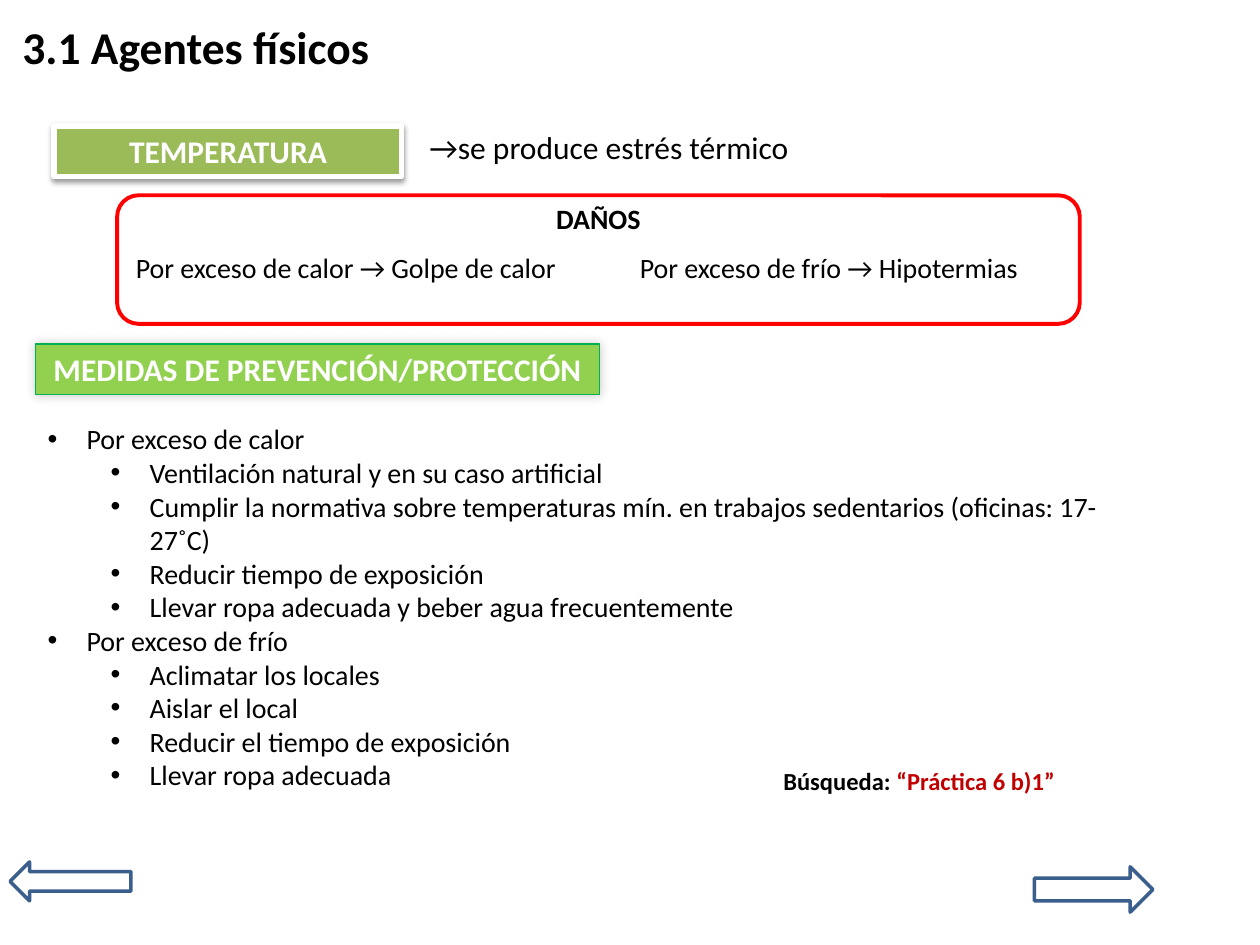
from typing import NamedTuple, Optional

from lxml import etree
from pptx import Presentation, util as u
from pptx.dml.color import RGBColor
from pptx.enum import shapes, text
from pptx.oxml.ns import qn

HUES = {
    "black": "000000", "white": "FFFFFF", "olive": "9BBB59",
    "lime": "92D050", "green": "00B050", "red": "FF0000",
    "dark": "C00000", "blue": "3A5F8C",
}
KIND = shapes.MSO_SHAPE
MID = text.MSO_ANCHOR.MIDDLE
TOP = text.MSO_ANCHOR.TOP
LEFT = text.PP_ALIGN.LEFT
CENTER = text.PP_ALIGN.CENTER


class Shade(NamedTuple):
    alpha: int
    blur: float
    dist: float
    angle: int


class Box(NamedTuple):
    at: tuple
    kind: int
    fill: Optional[str]
    line: str
    width: float
    label: str = ""
    size: int = 18
    ink: str = "white"
    shade: Optional[Shade] = None


class Note(NamedTuple):
    at: tuple
    label: str
    size: int
    bold: bool = False
    align: int = LEFT
    anchor: int = TOP


def hue(name: str) -> RGBColor:
    return RGBColor.from_string(HUES[name])


def style(para, size: int, ink: str = "black", bold: bool = False, align=LEFT) -> None:
    para.alignment = align
    font = para.font
    font.name, font.size, font.bold = "Calibri", u.Pt(size), bold
    font.color.rgb = hue(ink)


def cast(shape, shade: Shade) -> None:
    """Give the shape an outer shadow."""
    fx = shape._element.spPr.find(qn("a:effectLst"))
    outer = etree.SubElement(
        fx, qn("a:outerShdw"), blurRad=str(u.Pt(shade.blur)),
        dist=str(u.Pt(shade.dist)), dir=str(shade.angle * 60000),
        algn="ctr", rotWithShape="0")
    tint = etree.SubElement(outer, qn("a:srgbClr"), val=HUES["black"])
    etree.SubElement(tint, qn("a:alpha"), val=str(shade.alpha * 1000))


def draw_box(slide, box: Box):
    shape = slide.shapes.add_shape(box.kind, *map(u.Inches, box.at))
    shape.shadow.inherit = False
    if box.fill:
        shape.fill.solid()
        shape.fill.fore_color.rgb = hue(box.fill)
    else:
        shape.fill.background()
    shape.line.color.rgb = hue(box.line)
    shape.line.width = u.Pt(box.width)
    if box.shade:
        cast(shape, box.shade)
    frame = shape.text_frame
    if box.label:
        frame.word_wrap = True
        frame.vertical_anchor = TOP
        frame.text = box.label
        style(frame.paragraphs[0], box.size, box.ink, True, CENTER)
    return frame


def draw_note(slide, note: Note):
    frame = slide.shapes.add_textbox(*map(u.Inches, note.at)).text_frame
    frame.word_wrap = True
    frame.vertical_anchor = note.anchor
    para = frame.paragraphs[0]
    para.text = note.label
    style(para, note.size, "black", note.bold, note.align)
    return frame


def draw_list(slide, at: tuple, groups: dict) -> None:
    frame = slide.shapes.add_textbox(*map(u.Inches, at)).text_frame
    frame.word_wrap = True
    rows = [row for head, items in groups.items()
            for row in [(0, head)] + [(1, item) for item in items]]
    for i, (level, label) in enumerate(rows):
        para = frame.add_paragraph() if i else frame.paragraphs[0]
        para.text = label
        para.level = level
        props = para._p.get_or_add_pPr()
        props.set("marL", str(u.Inches(0.31 + 0.5 * level)))
        props.set("indent", str(u.Inches(-0.31)))
        etree.SubElement(props, qn("a:buFont"), typeface="Arial")
        etree.SubElement(props, qn("a:buChar"), char="•")
        style(para, 16)


TITLE = Note((0.08, 0.05, 9.92, 0.63), "3.1 Agentes físicos", 26, True, LEFT, MID)
EFFECT = Note((3.31, 0.97, 5.65, 0.4), "→se produce estrés térmico", 18)
SEARCH = Note((5.78, 6.03, 3.03, 0.34), "Búsqueda:", 14, True, CENTER)

BOXES = [
    Box((0.08, 6.84, 0.96, 0.31), KIND.LEFT_ARROW, None, "blue", 2),
    Box((8.21, 6.88, 0.94, 0.36), KIND.RIGHT_ARROW, None, "blue", 2),
    Box((0.28, 2.73, 4.48, 0.4), KIND.RECTANGLE, "lime", "green", 0.75,
        "MEDIDAS DE PREVENCIÓN/PROTECCIÓN", shade=Shade(20, 6, 0, 225)),
    Box((0.43, 1, 2.76, 0.4), KIND.RECTANGLE, "olive", "white", 3,
        "TEMPERATURA", shade=Shade(38, 3.1, 1.6, 90)),
]
HARM = Box((0.93, 1.55, 7.64, 1.02), KIND.ROUNDED_RECTANGLE, None, "red", 2.25,
           "DAÑOS", 16, "black")

STEPS = {
    "Por exceso de calor": [
        "Ventilación natural y en su caso artificial",
        "Cumplir la normativa sobre temperaturas mín. en trabajos sedentarios (oficinas: 17-27˚C)",
        "Reducir tiempo de exposición",
        "Llevar ropa adecuada y beber agua frecuentemente",
    ],
    "Por exceso de frío": [
        "Aclimatar los locales",
        "Aislar el local",
        "Reducir el tiempo de exposición",
        "Llevar ropa adecuada",
    ],
}


def main() -> None:
    deck = Presentation()
    deck.slide_width, deck.slide_height = u.Inches(10), u.Inches(7.5)
    slide = deck.slides.add_slide(deck.slide_layouts[6])

    # Title, arrows and headings
    draw_note(slide, TITLE)
    for box in BOXES:
        draw_box(slide, box)
    draw_note(slide, EFFECT)

    # Harm panel, its two cases set apart by a tab stop
    frame = draw_box(slide, HARM)
    frame.margin_top = 0
    para = frame.add_paragraph()
    para.text = "Por exceso de calor → Golpe de calor\tPor exceso de frío → Hipotermias"
    para.space_before = u.Pt(9)
    tabs = etree.SubElement(para._p.get_or_add_pPr(), qn("a:tabLst"))
    etree.SubElement(tabs, qn("a:tab"), pos=str(u.Inches(4)), algn="l")
    style(para, 16)

    # Measures
    draw_list(slide, (0.28, 3.3, 8.54, 3.06), STEPS)

    # Search hint
    run = draw_note(slide, SEARCH).paragraphs[0].add_run()
    run.text = " “Práctica 6 b)1”"
    run.font.color.rgb = hue("dark")

    deck.save("out.pptx")


if __name__ == "__main__":
    main()
